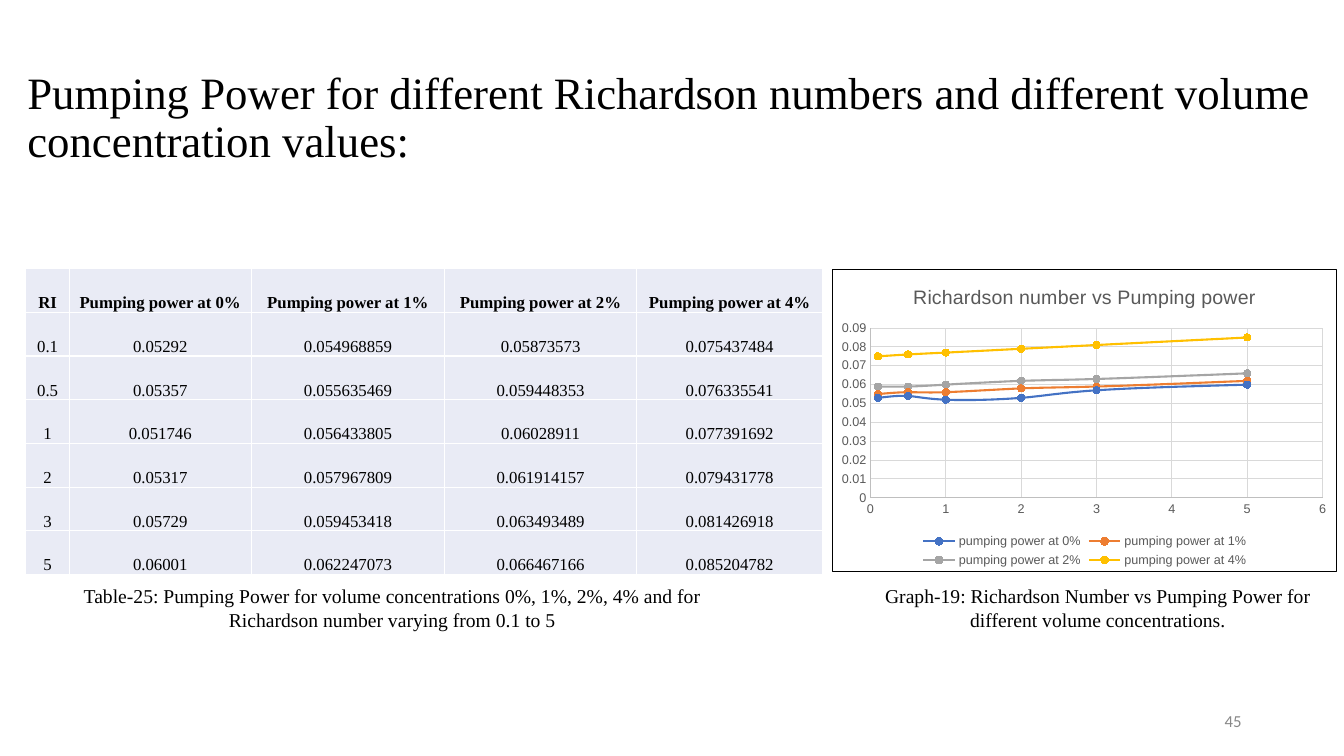
from dataclasses import dataclass

from lxml.etree import SubElement
from pptx import Presentation
from pptx.chart.chart import Chart
from pptx.chart.data import XyChartData
from pptx.dml.color import RGBColor
from pptx.enum.chart import XL_CHART_TYPE as Kind
from pptx.enum.chart import XL_LEGEND_POSITION as Spot
from pptx.enum.chart import XL_MARKER_STYLE as Mark
from pptx.enum.chart import XL_TICK_MARK as Tick
from pptx.enum.text import MSO_ANCHOR as Anchor
from pptx.enum.text import PP_ALIGN as Align
from pptx.oxml import parse_xml
from pptx.oxml.ns import nsdecls, qn
from pptx.slide import Slide
from pptx.table import _Cell as Cell
from pptx.util import Cm, Pt

SERIF = "Times New Roman"
HEADS = ["RI"] + [f"Pumping power at {part}%" for part in (0, 1, 2, 4)]
ROWS = [
    ["0.1", "0.05292", "0.054968859", "0.05873573", "0.075437484"],
    ["0.5", "0.05357", "0.055635469", "0.059448353", "0.076335541"],
    ["1", "0.051746", "0.056433805", "0.06028911", "0.077391692"],
    ["2", "0.05317", "0.057967809", "0.061914157", "0.079431778"],
    ["3", "0.05729", "0.059453418", "0.063493489", "0.081426918"],
    ["5", "0.06001", "0.062247073", "0.066467166", "0.085204782"],
]
WIDTHS = [1.1, 4.58, 4.88, 4.83, 4.7]
HUES = ["4472C4", "ED7D31", "A5A5A5", "FFC000"]


@dataclass
class Label:
    text: str
    left: float
    top: float
    width: float
    height: float
    size: int
    align: Align = Align.CENTER
    anchor: Anchor = Anchor.TOP
    face: str = SERIF
    hue: str = "000000"
    lead: float = 1.0
    base: float = 0.13


LABELS = [
    Label("Pumping Power for different Richardson numbers and different volume "
          "concentration values:", 0.44, 2.08, 33.22, 3.2, 32,
          Align.LEFT, Anchor.MIDDLE, lead=0.9, base=1.5),
    Label("45", 23.92, 17.65, 7.62, 1.02, 12, Align.RIGHT, Anchor.MIDDLE,
          "Calibri", "888888"),
    Label("Table-25: Pumping Power for volume concentrations 0%, 1%, 2%, 4% "
          "and for Richardson number varying from 0.1 to 5",
          1.42, 14.59, 16.94, 1.45, 14),
    Label("Graph-19: Richardson Number vs Pumping Power for different volume "
          "concentrations.", 21.17, 14.59, 13, 1.45, 14),
]


def color(code: str) -> RGBColor:
    return RGBColor.from_string(code)


def style(font, size: float, hue: str, face: str, bold: bool = False) -> None:
    font.size, font.name, font.bold = Pt(size), face, bold
    font.color.rgb = color(hue)


def stroke(line, hue: str, width: float) -> None:
    line.color.rgb = color(hue)
    line.width = Pt(width)


def write(slide: Slide, item: Label) -> None:
    box = slide.shapes.add_textbox(
        Cm(item.left), Cm(item.top), Cm(item.width), Cm(item.height))
    frame = box.text_frame
    frame.word_wrap = True
    frame.vertical_anchor = item.anchor
    frame.margin_bottom = Cm(item.base)
    para = frame.paragraphs[0]
    para.text, para.alignment = item.text, item.align
    para.line_spacing = item.lead
    style(para.font, item.size, item.hue, item.face)


def fill(cell: Cell, text: str, bold: bool) -> None:
    cell.margin_left = cell.margin_right = cell.margin_top = Cm(0.02)
    cell.margin_bottom = 0
    cell.vertical_anchor = Anchor.BOTTOM
    cell.fill.solid()
    cell.fill.fore_color.rgb = color("E9EBF5")
    para = cell.text_frame.paragraphs[0]
    para.text, para.alignment = text, Align.CENTER
    style(para.font, 12, "000000", SERIF, bold)
    props = cell._tc.get_or_add_tcPr()
    for spot, side in enumerate("LRTB"):
        props.insert(spot, parse_xml(
            f'<a:ln{side} {nsdecls("a")} w="12700"><a:solidFill>'
            f'<a:srgbClr val="FFFFFF"/></a:solidFill></a:ln{side}>'))


def add_grid(slide: Slide) -> None:
    lines = [HEADS] + ROWS
    grid = slide.shapes.add_table(
        len(lines), len(HEADS), Cm(0.65), Cm(6.77), Cm(sum(WIDTHS)), Cm(7.71)).table
    grid.first_row = grid.horz_banding = False
    for col, width in zip(grid.columns, WIDTHS):
        col.width = Cm(width)
    for row, line in enumerate(lines):
        for col, text in enumerate(line):
            fill(grid.cell(row, col), text, row == 0)


def set_axis(axis, top: float, step: float) -> None:
    axis.minimum_scale, axis.maximum_scale, axis.major_unit = 0, top, step
    axis.major_tick_mark = axis.minor_tick_mark = Tick.NONE
    axis.has_major_gridlines = True
    stroke(axis.major_gridlines.format.line, "D9D9D9", 0.75)
    stroke(axis.format.line, "BFBFBF", 0.75)
    style(axis.tick_labels.font, 9, "595959", "Arial")


def set_frame(chart: Chart) -> None:
    root = chart.element
    root.find(qn("c:txPr")).addprevious(parse_xml(
        f'<c:spPr {nsdecls("c", "a")}><a:solidFill><a:srgbClr val="FFFFFF"/>'
        '</a:solidFill><a:ln w="9525"><a:solidFill><a:srgbClr val="000000"/>'
        '</a:solidFill></a:ln></c:spPr>'))
    root.find(qn("c:chart")).addprevious(
        parse_xml(f'<c:roundedCorners {nsdecls("c")} val="0"/>'))
    for node in root.iter(qn("c:smooth")):
        node.set("val", "1")
    area = next(root.iter(qn("c:plotArea")))
    for node in area.findall(qn("c:layout")):
        area.remove(node)
    area.insert(0, parse_xml(f'<c:layout {nsdecls("c")}><c:manualLayout/></c:layout>'))
    rules = {"layoutTarget": "inner", "xMode": "edge", "yMode": "edge",
             "x": "0.075", "y": "0.195", "w": "0.897", "h": "0.562"}
    for key, value in rules.items():
        SubElement(area[0][0], qn(f"c:{key}")).set("val", value)


def add_graph(slide: Slide) -> None:
    data = XyChartData()
    for col, head in enumerate(HEADS[1:], 1):
        series = data.add_series(head.replace("P", "p"))
        for row in ROWS:
            series.add_data_point(float(row[0]), round(float(row[col]), 3))
    chart = slide.shapes.add_chart(
        Kind.XY_SCATTER_SMOOTH, Cm(20.97), Cm(6.77), Cm(12.73), Cm(7.64), data).chart
    style(chart.font, 10, "000000", "Arial")
    chart.has_title = True
    para = chart.chart_title.text_frame.paragraphs[0]
    para.text = "Richardson number vs Pumping power"
    style(para.font, 14, "595959", "Arial")
    chart.chart_title.include_in_layout = False
    chart.has_legend = True
    chart.legend.position = Spot.BOTTOM
    chart.legend.include_in_layout = False
    style(chart.legend.font, 9, "595959", "Arial")
    set_axis(chart.category_axis, 6, 1)
    set_axis(chart.value_axis, 0.09, 0.01)
    plot = chart.plots[0]
    plot.vary_by_categories = False
    for series, hue in zip(plot.series, HUES):
        stroke(series.format.line, hue, 1.5)
        mark = series.marker
        mark.style, mark.size = Mark.CIRCLE, 5
        mark.format.fill.solid()
        mark.format.fill.fore_color.rgb = color(hue)
        stroke(mark.format.line, hue, 0.75)
    set_frame(chart)


def main() -> None:
    deck = Presentation()
    deck.slide_width, deck.slide_height = Cm(33.87), Cm(19.05)
    slide = deck.slides.add_slide(deck.slide_layouts[6])
    for item in LABELS:
        write(slide, item)
    add_grid(slide)
    add_graph(slide)
    deck.save("out.pptx")


if __name__ == "__main__":
    main()
